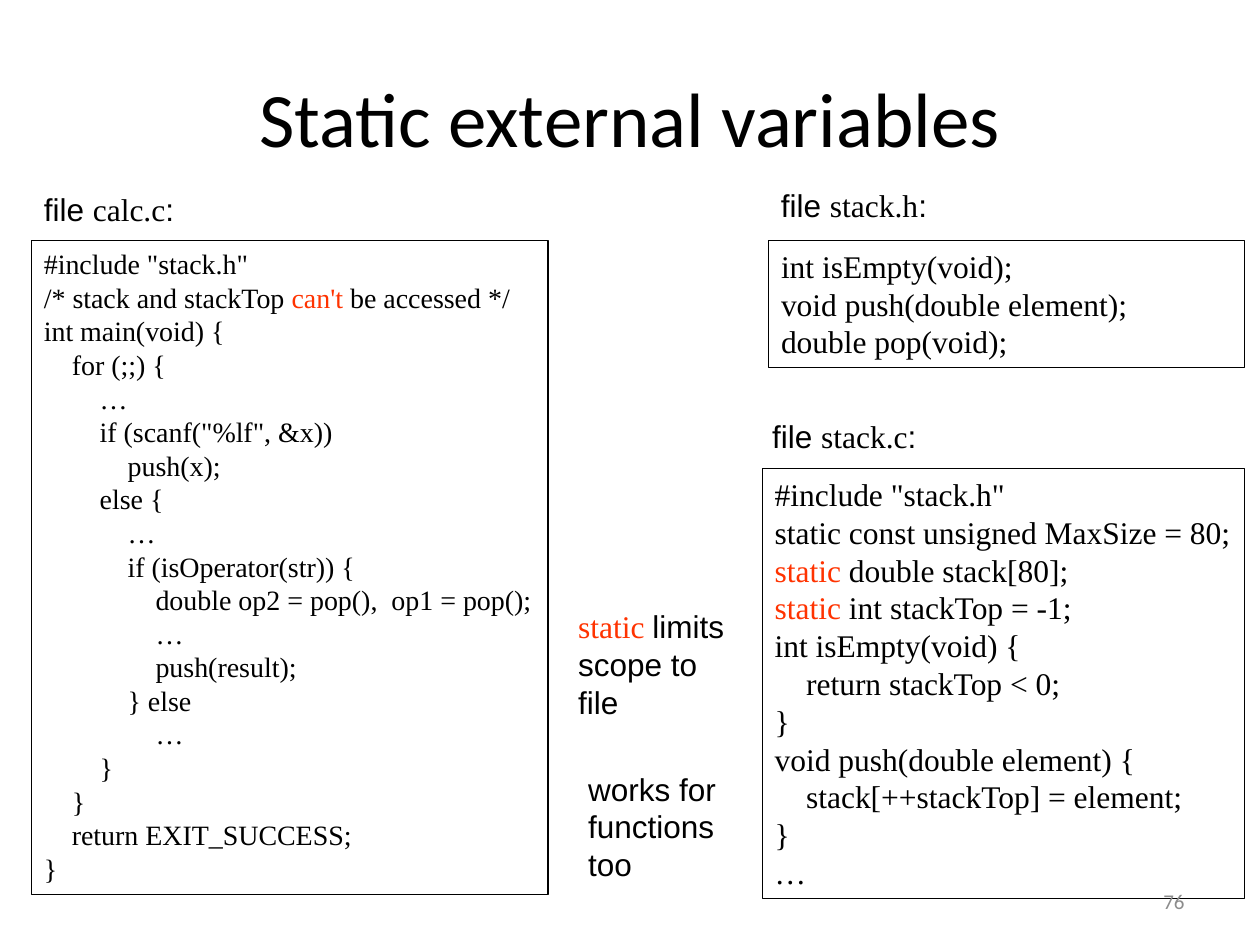
from pptx import Presentation
from pptx.dml.color import RGBColor
from pptx.enum import shapes, text
from pptx.util import Inches, Pt

BLACK = RGBColor(0, 0, 0)
RED = RGBColor(0xFF, 0x33, 0x00)
GRAY = RGBColor(0x8C, 0x8C, 0x8C)
SANS, SERIF, HEAD = "Arial", "Times New Roman", "Calibri"

PLAIN = (SANS, BLACK)
CODE = (SERIF, BLACK)
MARK = (SERIF, RED)

CALC = """#include "stack.h"
/* stack and stackTop |can't| be accessed */
int main(void) {
    for (;;) {
        …
        if (scanf("%lf", &x))
            push(x);
        else {
            …
            if (isOperator(str)) {
                double op2 = pop(),  op1 = pop();
                …
                push(result);
            } else
                …
        }
    }
    return EXIT_SUCCESS;
}"""

HEADER = """int isEmpty(void);
void push(double element);
double pop(void);"""

STACK = """#include "stack.h"
static const unsigned MaxSize = 80;
|static| double stack[80];
|static| int stackTop = -1;
int isEmpty(void) {
    return stackTop < 0;
}
void push(double element) {
    stack[++stackTop] = element;
}
…"""


def write(frame, words, size, base, alt=None, align=text.PP_ALIGN.LEFT):
    """Fill a frame line by line; parts between bars take the alt style."""
    for row, line in enumerate(words.split("\n")):
        para = frame.paragraphs[0] if row == 0 else frame.add_paragraph()
        para.alignment = align
        for i, part in enumerate(line.split("|")):
            if part:
                run = para.add_run()
                run.text = part
                run.font.size = Pt(size)
                run.font.name, run.font.color.rgb = alt if i % 2 else base


def add_label(parent, box, words, alt=MARK):
    label = parent.shapes.add_textbox(*map(Inches, box))
    label.text_frame.word_wrap = False
    write(label.text_frame, words, 18, PLAIN, alt)


def add_panel(parent, box, code, size, wrap=False):
    panel = parent.shapes.add_shape(
        shapes.MSO_SHAPE.RECTANGLE, *map(Inches, box))
    panel.shadow.inherit = False
    panel.fill.background()
    panel.line.color.rgb = BLACK
    panel.line.width = Pt(0.75)
    frame = panel.text_frame
    frame.word_wrap = wrap
    frame.vertical_anchor = text.MSO_ANCHOR.TOP
    write(frame, code, size, CODE, MARK)


def add_file(slide, name, tag, box, code, size, wrap=False):
    """Group a code panel with its file name label."""
    group = slide.shapes.add_group_shape()
    add_panel(group, box, code, size, wrap)
    add_label(group, tag, f"file |{name}|:", CODE)


def add_title(slide, words):
    title = slide.shapes.title
    title.left, title.top, title.width, title.height = map(
        Inches, (0.5, 0.3, 9, 1.25))
    title.text_frame.vertical_anchor = text.MSO_ANCHOR.MIDDLE
    write(title.text_frame, words, 44, (HEAD, BLACK),
          align=text.PP_ALIGN.CENTER)


def add_number(slide, number):
    box = slide.shapes.add_textbox(*map(Inches, (7.17, 6.95, 2.33, 0.4)))
    box.text_frame.word_wrap = True
    box.text_frame.vertical_anchor = text.MSO_ANCHOR.MIDDLE
    write(box.text_frame, number, 12, (HEAD, GRAY),
          align=text.PP_ALIGN.RIGHT)


def main():
    deck = Presentation()
    deck.slide_width, deck.slide_height = Inches(10), Inches(7.5)
    slide = deck.slides.add_slide(deck.slide_layouts[5])

    add_title(slide, "Static external variables")
    add_file(slide, "calc.c", (0.25, 1.46, 1.24, 0.4),
             (0.25, 1.91, 4.1, 5.19), CALC, 16)
    add_file(slide, "stack.h", (6.1, 1.43, 1.36, 0.4),
             (6.1, 1.91, 3.78, 1.01), HEADER, 18, wrap=True)
    add_file(slide, "stack.c", (6.03, 3.26, 1.35, 0.4),
             (6.05, 3.72, 3.83, 3.41), STACK, 18)
    add_label(slide, (4.49, 4.77, 1.53, 0.7),
              "|static |limits\nscope to file")
    add_label(slide, (4.57, 6.06, 1.22, 1), "works for\nfunctions\ntoo")
    add_number(slide, "76")

    deck.save("out.pptx")


if __name__ == "__main__":
    main()
